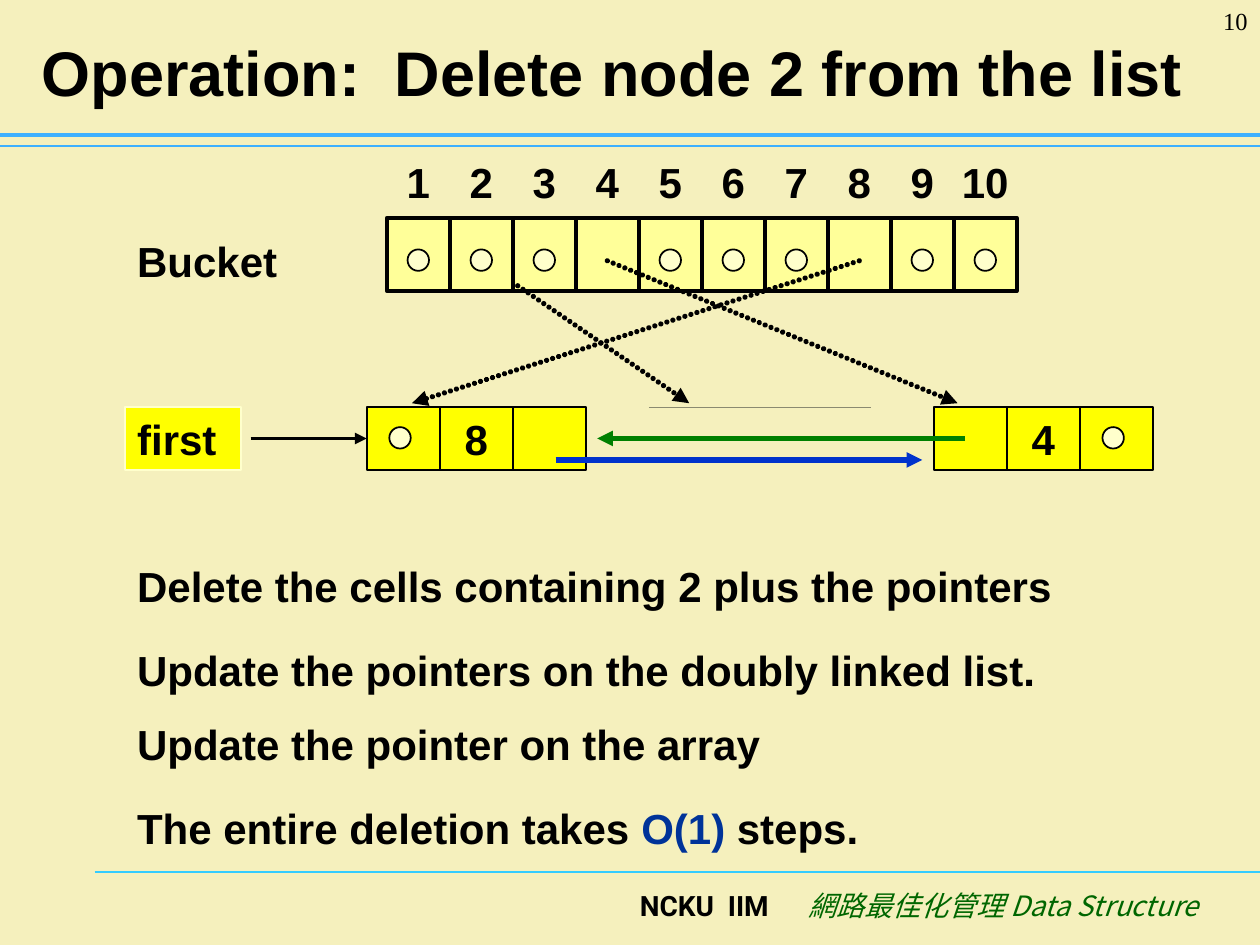
from pptx import Presentation
from pptx.dml.color import RGBColor
from pptx.enum.shapes import MSO_CONNECTOR, MSO_SHAPE
from pptx.enum.text import MSO_ANCHOR, PP_ALIGN
from pptx.oxml.ns import qn
from pptx.util import Inches, Pt
from lxml import etree

RECT, OVAL = MSO_SHAPE.RECTANGLE, MSO_SHAPE.OVAL
STRAIGHT = MSO_CONNECTOR.STRAIGHT
LEFT, CENTER, RIGHT = PP_ALIGN.LEFT, PP_ALIGN.CENTER, PP_ALIGN.RIGHT
TOP, MIDDLE = MSO_ANCHOR.TOP, MSO_ANCHOR.MIDDLE

BACKGROUND, BLACK, SKY = "F5F0BD", "000000", "3DB0FF"
YELLOW, PALE, CREAM = "FFFF00", "FFFF99", "FFFFCC"
GREEN, BLUE = "008000", "0033CC"
SLOT_W, SLOT_H = 0.5, 0.58
CELL_W, CELL_H = 0.58, 0.5
DOT = 0.17


def rgb(value):
    """Turn a hex string into a colour."""
    return RGBColor.from_string(value)


def write(sp, runs, size=24, font="Arial", bold=True, italic=False,
          align=LEFT, anchor=TOP, inset=0.1):
    """Put one paragraph of (text, colour) runs into a shape."""
    tf = sp.text_frame
    tf.word_wrap = True
    tf.vertical_anchor = anchor
    tf.margin_left = tf.margin_right = Inches(inset)
    p = tf.paragraphs[0]
    p.alignment = align
    for text, color in runs:
        r = p.add_run()
        r.text = text
        r.font.size = Pt(size)
        r.font.name = font
        r.font.bold = bold
        r.font.italic = italic
        r.font.color.rgb = rgb(color)
        etree.SubElement(r.font._element, qn("a:ea"), typeface=font)


def add_text(s, box, runs, **style):
    """Add a text box."""
    sp = s.shapes.add_textbox(*map(Inches, box))
    write(sp, runs, **style)


def add_box(s, kind, box, fill, line=BLACK, width=1):
    """Add a filled and outlined preset shape."""
    sp = s.shapes.add_shape(kind, *map(Inches, box))
    sp.shadow.inherit = False
    sp.fill.solid()
    sp.fill.fore_color.rgb = rgb(fill)
    sp.line.color.rgb = rgb(line)
    sp.line.width = Pt(width)
    return sp


def add_line(s, start, end, color=BLACK, width=3.0, arrow=True, dotted=False):
    """Add a straight line, with an arrowhead at its end if wanted."""
    c = s.shapes.add_connector(STRAIGHT, *map(Inches, (*start, *end)))
    c.line.color.rgb = rgb(color)
    c.line.width = Pt(width)
    ln = c.line._get_or_add_ln()
    if dotted:
        ln.set("cap", "rnd")
        dash = etree.SubElement(ln, qn("a:custDash"))
        etree.SubElement(dash, qn("a:ds"), d="100000", sp="20000")
    if arrow:
        etree.SubElement(ln, qn("a:tailEnd"), type="triangle")
    etree.SubElement(c._element.spPr, qn("a:effectLst"))


def add_frame(s, width, height):
    """Draw the background, rules, footer and page number."""
    s.background.fill.solid()
    s.background.fill.fore_color.rgb = rgb(BACKGROUND)
    for left, y, color, weight in ((0.75, 6.92, "33CCFF", 0.75),
                                   (0, 1.16, SKY, 0.75), (0, 1.07, SKY, 2.5)):
        add_line(s, (left, y), (width, y), color, weight, arrow=False)
    y = height - 0.5
    add_text(s, (4.2, y, 2, 0.5), [("NCKU  IIM", BLACK)], size=16,
             font="Roboto", align=RIGHT)
    add_text(s, (6.2, y, 3.41, 0.5), [("網路最佳化管理 Data Structure", "006600")],
             size=16, font="Noto Sans CJK SC", bold=False, italic=True,
             align=RIGHT)
    add_text(s, (width - 0.83, 0, 0.83, 0.5), [("10", BLACK)], size=14,
             font="Times New Roman", bold=False, align=RIGHT)


def add_slot(s, left, top, empty):
    """Draw one bucket slot, with a null mark if it is empty."""
    add_box(s, RECT, (left, top, SLOT_W, SLOT_H), PALE, width=2.25)
    if empty:
        add_box(s, OVAL, (left + (SLOT_W - DOT) / 2, top + 0.25, DOT, DOT), CREAM)


def add_bucket(s, left, top):
    """Draw the numbered bucket array and its pointers to the nodes."""
    add_text(s, (0.99, top + 0.09, 1.67, 0.5), [("Bucket", BLACK)])
    for i in range(10):
        x = left + i * SLOT_W
        add_text(s, (x, top - SLOT_H, SLOT_W, SLOT_H), [(str(i + 1), BLACK)],
                 align=CENTER, anchor=MIDDLE, inset=0)
        if i != 1:
            add_slot(s, x, top, i not in (3, 7))
    for i, target in ((1, 5.47), (3, 7.6), (7, 3.27)):
        add_line(s, (left + (i + 0.5) * SLOT_W, top + 0.34),
                 (target, top + 1.47), dotted=True)
    add_slot(s, left + SLOT_W, top, True)


def add_node(s, left, top, value, null_cell):
    """Draw a three-cell node with a null mark in one cell."""
    for i in range(3):
        sp = add_box(s, RECT, (left + i * CELL_W, top, CELL_W, CELL_H), YELLOW)
        if i == 1:
            write(sp, [(value, BLACK)], align=CENTER, anchor=MIDDLE)
    add_box(s, OVAL, (left + null_cell * CELL_W + 0.18, top + 0.16, DOT, DOT), CREAM)


def add_linked_list(s, left, top):
    """Draw the doubly linked list that remains after the deletion."""
    sp = add_box(s, RECT, (left, top, 0.92, 0.5), YELLOW, CREAM)
    write(sp, [("first", BLACK)])
    middle = top + CELL_H / 2
    add_line(s, (left + 1, middle), (left + 1.92, middle), width=2.25)
    add_node(s, left + 1.92, top, "8", 0)
    add_node(s, left + 6.42, top, "4", 2)
    add_line(s, (left + 4.16, top), (left + 5.92, top), "8A8A70", 0.5, arrow=False)
    add_line(s, (left + 3.42, top + 0.42), (left + 6.33, top + 0.42), BLUE)
    add_line(s, (left + 6.67, middle), (left + 3.75, middle), GREEN)


def add_steps(s, left, width):
    """Write the deletion steps."""
    steps = (
        (4.4, [("Delete the cells containing 2 plus the pointers", BLACK)]),
        (5.07, [("Update the pointers on the doubly linked list.", BLACK)]),
        (5.65, [("Update the pointer on the array", BLACK)]),
        (6.32, [("The entire deletion takes ", BLACK), ("O(1)", "003399"),
                (" steps.", BLACK)]),
    )
    for top, runs in steps:
        add_text(s, (left, top, width, 0.5), runs)


def main():
    """Build the slide and save it."""
    prs = Presentation()
    prs.slide_width, prs.slide_height = Inches(10), Inches(7.5)
    s = prs.slides.add_slide(prs.slide_layouts[6])
    add_frame(s, 10, 7.5)
    add_text(s, (0.2, 0.13, 9.32, 0.87),
             [("Operation:  Delete node 2 from the list", BLACK)],
             size=36, align=CENTER, anchor=MIDDLE)
    add_bucket(s, 3.07, 1.73)
    add_linked_list(s, 0.99, 3.23)
    add_steps(s, 0.99, 7.83)
    prs.save("out.pptx")


if __name__ == "__main__":
    main()
